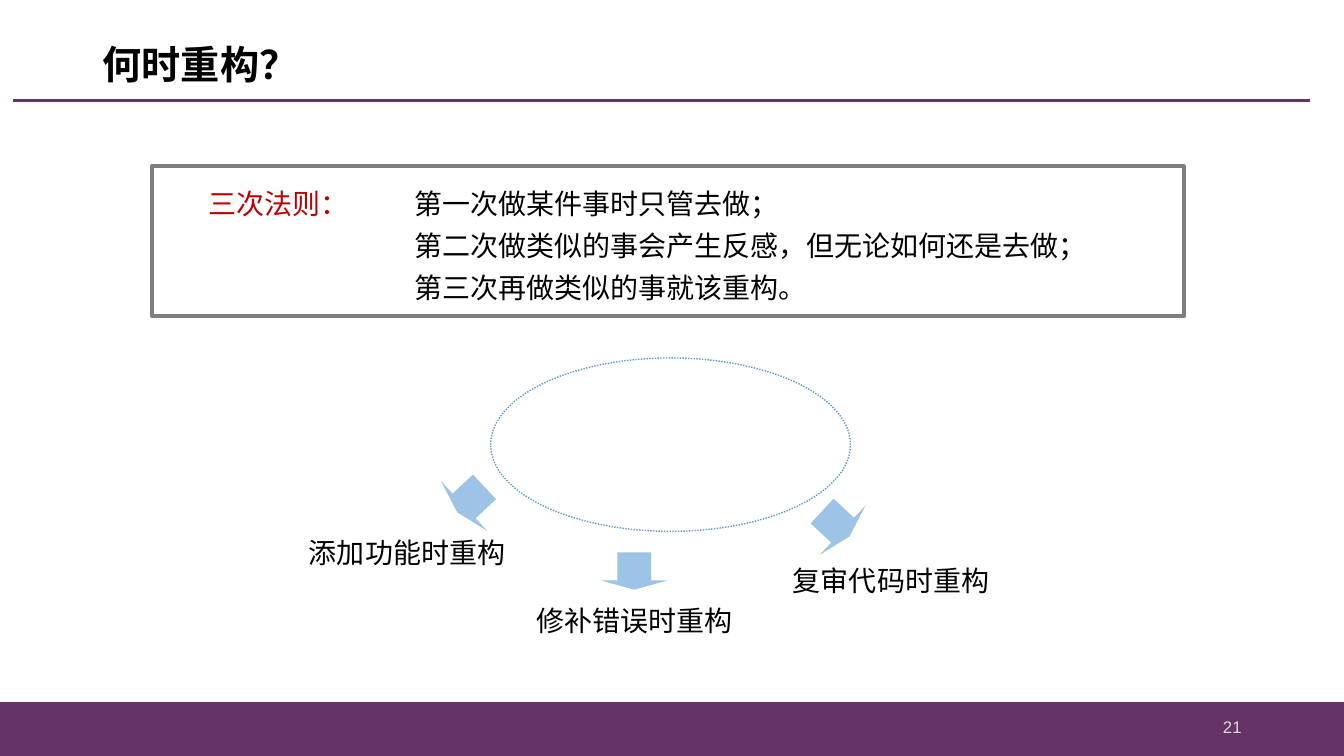
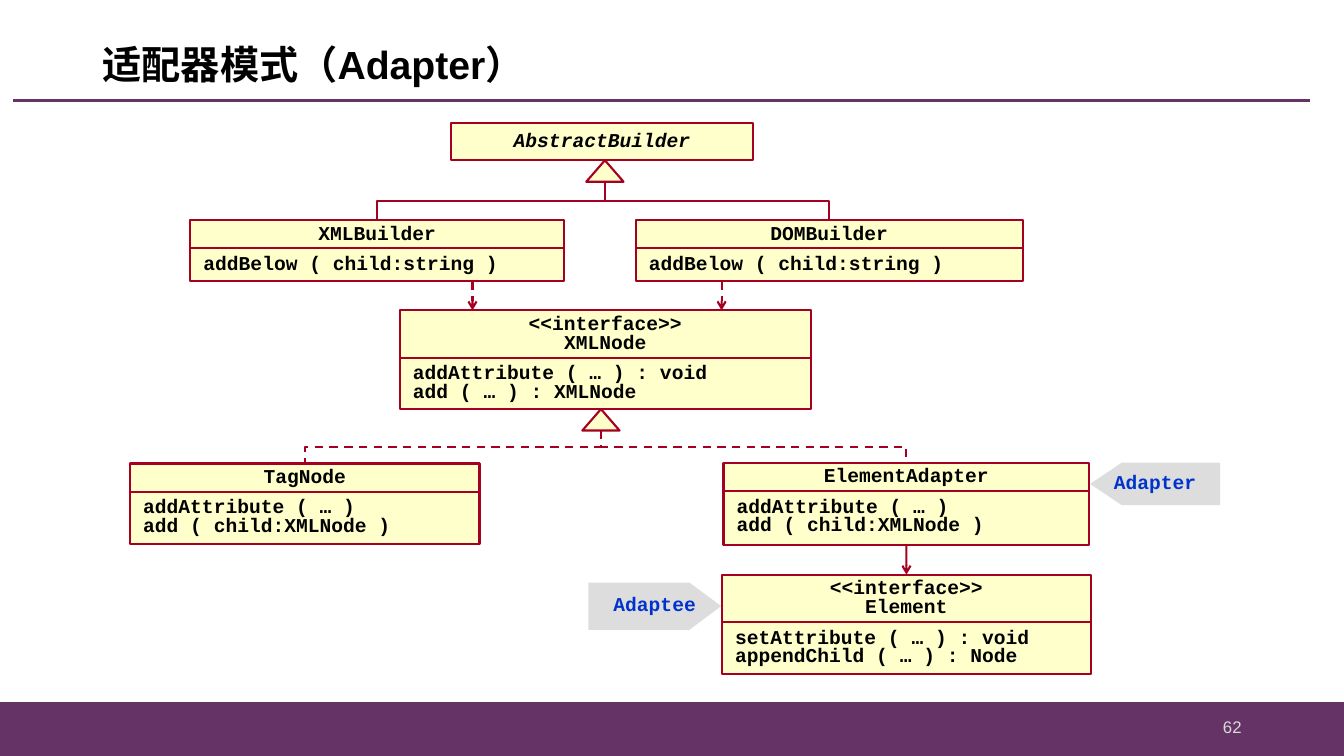
from lxml import etree
from pptx import Presentation
from pptx.dml.color import RGBColor
from pptx.enum import dml, shapes, text
from pptx.oxml.ns import qn
from pptx.util import Cm, Pt

PURPLE = RGBColor(0x66, 0x33, 0x66)
BLACK = RGBColor(0, 0, 0)
PALE = RGBColor(0xD9, 0xD9, 0xD9)
GREY = RGBColor(0x7F, 0x7F, 0x7F)
RED = RGBColor(0xC0, 0, 0)
BLUE = RGBColor(0x5B, 0x9B, 0xD5)
LIGHT_BLUE = RGBColor(0x9D, 0xC3, 0xE6)
CREAM = RGBColor(0xFF, 0xFF, 0xCC)
CRIMSON = RGBColor(0xA5, 0x00, 0x21)
TAG_GREY = RGBColor(0xDD, 0xDD, 0xDD)
TAG_BLUE = RGBColor(0x00, 0x33, 0xCC)
CJK = "Noto Sans CJK SC"
CODE = "Courier New"
LEFT, CENTER, RIGHT = text.PP_ALIGN.LEFT, text.PP_ALIGN.CENTER, text.PP_ALIGN.RIGHT
TOP, MIDDLE = text.MSO_ANCHOR.TOP, text.MSO_ANCHOR.MIDDLE
DASH = dml.MSO_LINE.DASH


def style_font(font, name, size, color, bold=False, italic=False):
    font.name, font.size, font.bold, font.italic = name, Pt(size), bold, italic
    font.color.rgb = color
    etree.SubElement(font._element, qn("a:ea"), typeface=CJK)


def write(shape, lines, name, size, color=BLACK, align=LEFT, anchor=TOP,
          spacing=1.0, insets=(0.25, 0.13, 0.25, 0.13), tab=None, **emphasis):
    """Fill a shape with one paragraph per line, all in one style."""
    frame = shape.text_frame
    frame.word_wrap, frame.vertical_anchor = True, anchor
    (frame.margin_left, frame.margin_top,
     frame.margin_right, frame.margin_bottom) = map(Cm, insets)
    for index, line in enumerate(lines):
        para = frame.add_paragraph() if index else frame.paragraphs[0]
        para.text, para.alignment, para.line_spacing = line, align, spacing
        if tab:
            stops = etree.SubElement(para._p.get_or_add_pPr(), qn("a:tabLst"))
            etree.SubElement(stops, qn("a:tab"), pos=str(Cm(tab)), algn="l")
        style_font(para.font, name, size, color, **emphasis)


def paint(shape, fill=None, line=None, width=1.5):
    shape.shadow.inherit = False
    if fill is None:
        shape.fill.background()
    else:
        shape.fill.solid()
        shape.fill.fore_color.rgb = fill
    if line is None:
        shape.line.fill.background()
    else:
        shape.line.color.rgb = line
        shape.line.width = Pt(width)


def add_box(page, kind, left, top, width, height, fill=None, line=None, weight=1.5):
    box = page.shapes.add_shape(kind, Cm(left), Cm(top), Cm(width), Cm(height))
    paint(box, fill, line, weight)
    return box


def add_label(page, left, top, width, height, lines, *style, **options):
    label = page.shapes.add_textbox(Cm(left), Cm(top), Cm(width), Cm(height))
    write(label, lines, *style, **options)


def add_line(page, x1, y1, x2, y2, color=CRIMSON, width=1.5, dash=None,
             arrow=False, kind=shapes.MSO_CONNECTOR.STRAIGHT):
    line = page.shapes.add_connector(kind, Cm(x1), Cm(y1), Cm(x2), Cm(y2))
    line.line.color.rgb = color
    line.line.width = Pt(width)
    if dash:
        line.line.dash_style = dash
    if arrow:
        etree.SubElement(line.line._get_or_add_ln(), qn("a:tailEnd"), type="arrow")
    etree.SubElement(line._element.spPr, qn("a:effectLst"))
    return line


def add_elbow(page, x1, y1, x2, y2, dash=None):
    """Draw a connector that runs down, across and down again."""
    across, down = abs(x2 - x1), y2 - y1
    left, top = (x1 + x2 - down) / 2, (y1 + y2 - across) / 2
    elbow = add_line(page, left, top, left + down, top + across, dash=dash,
                     kind=shapes.MSO_CONNECTOR.ELBOW)
    frame = elbow._element.spPr.find(qn("a:xfrm"))
    if x2 < x1:
        frame.set("rot", "5400000")
    else:
        frame.set("rot", "16200000")
        frame.set("flipH", "1")


def prepare_layout(deck):
    layout = deck.slide_layouts[5]
    for holder in list(layout.placeholders):
        if holder.placeholder_format.type == shapes.PP_PLACEHOLDER.TITLE:
            holder.left, holder.top = Cm(2.34), Cm(0.76)
            holder.width, holder.height = Cm(29.2), Cm(1.85)
        else:
            holder.element.getparent().remove(holder.element)
    return layout


def decorate_layout(layout, page):
    """Draw the band and the title rule, and hand them to the layout."""
    band = add_box(page, shapes.MSO_SHAPE.RECTANGLE, 0, 17.7, 33.88, 1.35,
                   PURPLE, PURPLE, 1)
    rule = add_line(page, 0.33, 2.54, 33.02, 2.54, PURPLE, 2.25)
    for position, item in enumerate((band, rule), start=2):
        layout.shapes.element.insert(position, item._element)


def add_page(deck, layout, title, title_font, number):
    page = deck.slides.add_slide(layout)
    if len(deck.slides) == 1:
        decorate_layout(layout, page)
    write(page.shapes.title, [title], title_font, 28, anchor=MIDDLE,
          spacing=0.9, bold=True)
    add_label(page, 23.93, 17.81, 7.62, 1.02, [number], "Arial", 12, PALE,
              align=RIGHT, anchor=MIDDLE)
    return page


def add_class(page, left, top, width, height, heading, members=(), italic=False):
    """Draw a class box: centred heading, divider and member list."""
    box = add_box(page, shapes.MSO_SHAPE.RECTANGLE, left, top, width, height,
                  CREAM, CRIMSON)
    write(box, heading, CODE, 14, align=CENTER, anchor=TOP if members else MIDDLE,
          spacing=0.8, bold=True, italic=italic)
    if members:
        divider = top + 0.23 + 0.48 * len(heading)
        add_line(page, left, divider, left + width, divider)
        add_label(page, left + 0.33, divider + 0.15, width - 0.65,
                  0.15 + 0.43 * len(members), members, CODE, 14,
                  spacing=0.8, insets=(0, 0.03, 0, 0.13), bold=True)
    return box


def add_inheritance(page, apex, parent, children, dash=None):
    """Put a triangle under the parent and join each child's top to it."""
    width, height = 0.94, 0.54
    top = (parent.top + parent.height) / Cm(1)
    add_box(page, shapes.MSO_SHAPE.ISOSCELES_TRIANGLE, apex - width / 2, top,
            width, height, CREAM, CRIMSON)
    for child in children:
        middle = (child.left + child.width / 2) / Cm(1)
        add_elbow(page, apex, top + height, middle, child.top / Cm(1), dash)


def add_tag(page, base, tip, top, height, label):
    """Draw a grey tag that points from base to tip."""
    shoulder = tip - 0.8 if tip > base else tip + 0.8
    bottom = top + height
    outline = page.shapes.build_freeform(Cm(base), Cm(top))
    outline.add_line_segments(
        [(Cm(x), Cm(y)) for x, y in ((shoulder, top), (tip, top + height / 2),
                                     (shoulder, bottom), (base, bottom))])
    tag = outline.convert_to_shape()
    paint(tag, TAG_GREY)
    write(tag, [label], CODE, 14, TAG_BLUE, align=CENTER, anchor=MIDDLE,
          spacing=0.8, bold=True)


def build_refactoring(page):
    rules = add_box(page, shapes.MSO_SHAPE.RECTANGLE, 3.84, 4.19, 26, 3.78,
                    line=GREY, weight=3)
    write(rules, ["", "\t第二次做类似的事会产生反感，但无论如何还是去做；",
                  "\t第三次再做类似的事就该重构。"], "Calibri", 20,
          spacing=1.25, insets=(1.42, 0.3, 0.5, 0.3), tab=5.18)
    first = rules.text_frame.paragraphs[0]
    heading = first.add_run()
    heading.text = "三次法则："
    heading.font.color.rgb = RED
    first.add_run().text = "\t第一次做某件事时只管去做；"

    ellipse = add_box(page, shapes.MSO_SHAPE.OVAL, 12.37, 9.02, 9.07, 4.37,
                      line=BLUE, weight=1)
    ellipse.line.dash_style = dml.MSO_LINE.ROUND_DOT
    occasions = [
        ("添加功能时重构", 7.54, 13.36, 11.02, 12.12, 47.1),
        ("修补错误时重构", 13.28, 15.09, 15.14, 13.92, 0),
        ("复审代码时重构", 19.74, 14.07, 20.22, 12.73, 312.8),
    ]
    for label, left, top, arrow_left, arrow_top, angle in occasions:
        add_label(page, left, top, 5.7, 1.12, [label], CJK, 20)
        arrow = add_box(page, shapes.MSO_SHAPE.DOWN_ARROW, arrow_left, arrow_top,
                        1.7, 0.94, LIGHT_BLUE)
        arrow.adjustments[0], arrow.adjustments[1] = 0.5, 0.25
        arrow.rotation = angle


def build_adapter(page):
    below = ["addBelow ( child:string )"]
    node_members = ["addAttribute ( … )", "add ( child:XMLNode )"]
    abstract = add_class(page, 11.38, 3.1, 7.6, 0.94, ["AbstractBuilder"], italic=True)
    builders = [add_class(page, 4.8, 5.54, 9.42, 1.55, ["XMLBuilder"], below),
                add_class(page, 16.03, 5.54, 9.75, 1.55, ["DOMBuilder"], below)]
    xml_node = add_class(page, 10.08, 7.82, 10.36, 2.49, ["<<interface>>", "XMLNode"],
                         ["addAttribute ( … ) : void", "add ( … ) : XMLNode"])
    tag_node = add_class(page, 3.28, 11.68, 8.81, 2.03, ["TagNode"], node_members)
    adapter = add_class(page, 18.24, 11.66, 9.22, 2.08, ["ElementAdapter"],
                        node_members)
    element = add_class(page, 18.2, 14.48, 9.3, 2.51, ["<<interface>>", "Element"],
                        ["setAttribute ( … ) : void", "appendChild ( … ) : Node"])

    add_inheritance(page, 15.25, abstract, builders)
    add_inheritance(page, 15.15, xml_node, [tag_node, adapter], DASH)
    for x in (11.91, 18.19):
        add_line(page, x, 7.09, x, 7.82, dash=DASH, arrow=True)
    adapts = add_line(page, 22.85, 13.74, 22.85, 14.48, arrow=True)
    adapts.begin_connect(adapter, 2)
    adapts.end_connect(element, 0)
    add_tag(page, 14.83, 18.18, 14.68, 1.19, "Adaptee")
    add_tag(page, 30.76, 27.48, 11.66, 1.07, "Adapter")


def main():
    deck = Presentation()
    deck.slide_width, deck.slide_height = Cm(33.88), Cm(19.05)
    layout = prepare_layout(deck)
    build_refactoring(add_page(deck, layout, "何时重构？", "Calibri", "21"))
    build_adapter(add_page(deck, layout, "适配器模式（Adapter）", "Arial", "62"))
    deck.save("out.pptx")


if __name__ == "__main__":
    main()
